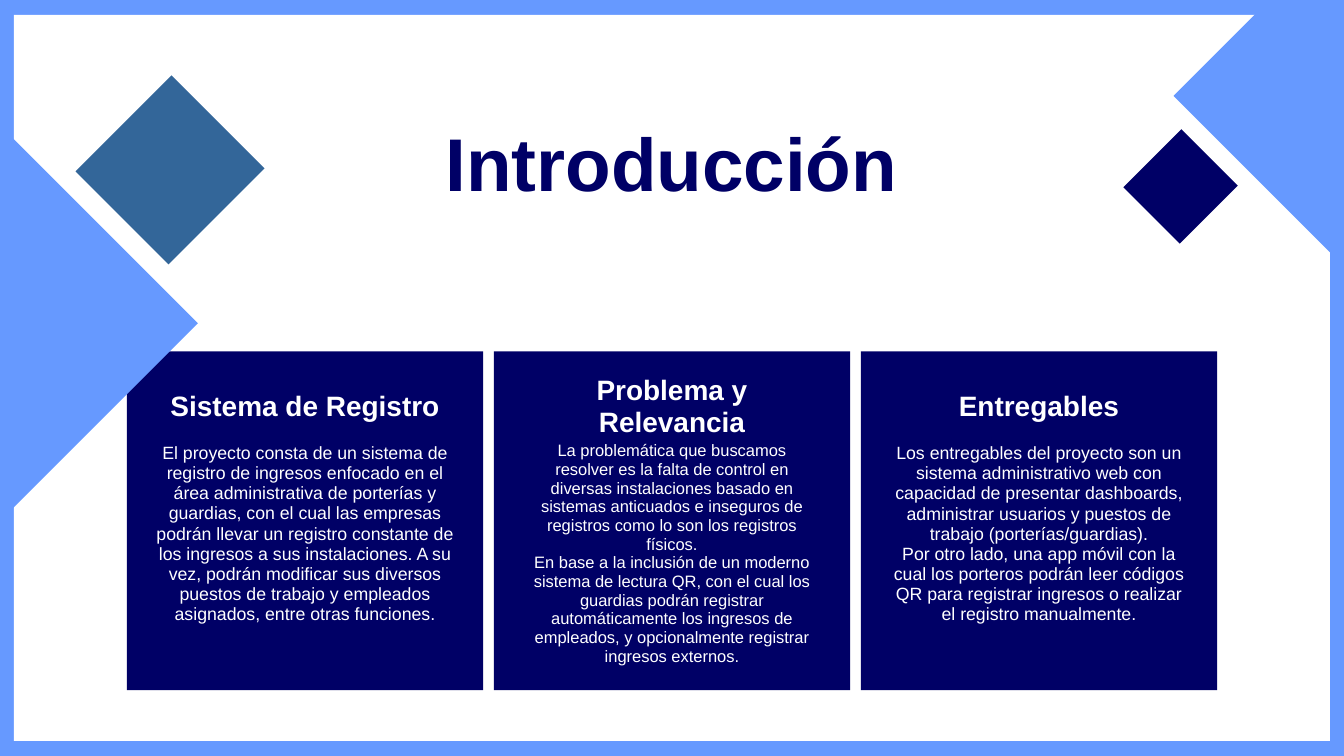
from pptx import Presentation
from pptx.dml.color import RGBColor
from pptx.enum.shapes import MSO_SHAPE
from pptx.enum.text import MSO_ANCHOR, MSO_AUTO_SIZE, PP_ALIGN
from pptx.util import Pt

RECTANGLE = MSO_SHAPE.RECTANGLE
TOP, MIDDLE = MSO_ANCHOR.TOP, MSO_ANCHOR.MIDDLE
NO_AUTOFIT = MSO_AUTO_SIZE.NONE
CENTER = PP_ALIGN.CENTER
TITLE_ONLY = 5

FONT = "Arial"
COLORS = {"sky": "6699FF", "white": "FFFFFF", "navy": "000066", "steel": "336699"}

CARD_LEFT, CARD_TOP, CARD_WIDTH, CARD_HEIGHT = 136, 376.5, 381.6, 363
CARD_PITCH = 393.2
HEADING_TOP, HEADING_HEIGHT, HEADING_WIDTH = 401, 68, 321

# heading, paragraphs, body top, body width, body height, font size, line spacing
CARDS = [
    ("Sistema de Registro",
     ["El proyecto consta de un sistema de registro de ingresos enfocado en el área "
      "administrativa de porterías y guardias, con el cual las empresas podrán llevar un "
      "registro constante de los ingresos a sus instalaciones. A su vez, podrán modificar "
      "sus diversos puestos de trabajo y empleados asignados, entre otras funciones."],
     475, 321, 252, 19, 21.5),
    ("Problema y Relevancia",
     ["La problemática que buscamos resolver es la falta de control en diversas "
      "instalaciones basado en sistemas anticuados e inseguros de registros como lo son "
      "los registros físicos.",
      "En base a la inclusión de un moderno sistema de lectura QR, con el cual los guardias "
      "podrán registrar automáticamente los ingresos de empleados, y opcionalmente "
      "registrar ingresos externos."],
     473, 299, 256, 17.7, 20),
    ("Entregables",
     ["Los entregables del proyecto son un sistema administrativo web con capacidad de "
      "presentar dashboards, administrar usuarios y puestos de trabajo (porterías/guardias).",
      "Por otro lado, una app móvil con la cual los porteros podrán leer códigos QR para "
      "registrar ingresos o realizar el registro manualmente."],
     475, 321, 231, 19, 21.5),
]

# left, top, width, height before the turn, and colour
DIAMONDS = [
    (-243.5, 180, 386.5, 355, "sky"),
    (1305.5, -29, 270, 248, "sky"),
    (109.5, 111.5, 145.5, 141, "steel"),
    (1221, 157, 88, 85.5, "navy"),
]


class SlideBuilder:
    def __init__(self, slide):
        self.slide = slide

    def color(self, name):
        return RGBColor.from_string(COLORS[name])

    def background(self, color):
        fill = self.slide.background.fill
        fill.solid()
        fill.fore_color.rgb = self.color(color)

    def block(self, left, top, width, height, color, rotation=0):
        """Add a plain filled rectangle, turned by rotation degrees."""
        shape = self.slide.shapes.add_shape(
            RECTANGLE, Pt(left), Pt(top), Pt(width), Pt(height))
        shape.shadow.inherit = False
        shape.fill.solid()
        shape.fill.fore_color.rgb = self.color(color)
        shape.line.fill.background()
        shape.rotation = rotation

    def fill_text(self, frame, paragraphs, size, spacing, color, bold, anchor):
        frame.word_wrap = True
        frame.auto_size = NO_AUTOFIT
        frame.vertical_anchor = anchor
        frame.margin_left = frame.margin_right = 0
        frame.margin_top = frame.margin_bottom = 0
        frame.text = "\n".join(paragraphs)
        for paragraph in frame.paragraphs:
            paragraph.alignment = CENTER
            paragraph.line_spacing = Pt(spacing)
            paragraph.space_before = Pt(0)
            paragraph.font.name = FONT
            paragraph.font.size = Pt(size)
            paragraph.font.bold = bold
            paragraph.font.color.rgb = self.color(color)

    def title(self, text, left, top, width, height):
        title = self.slide.shapes.title
        title.left, title.top = Pt(left), Pt(top)
        title.width, title.height = Pt(width), Pt(height)
        self.fill_text(title.text_frame, [text], 80, 75.2, "navy", True, TOP)
        # Bring the placeholder in front of the panel.
        self.slide.shapes.element.append(title.element)

    def text(self, left, top, width, height, paragraphs, size, spacing,
             bold=False, anchor=TOP):
        box = self.slide.shapes.add_textbox(Pt(left), Pt(top), Pt(width), Pt(height))
        self.fill_text(box.text_frame, paragraphs, size, spacing, "white", bold, anchor)

    def card(self, left, heading, paragraphs, body_top, body_width, body_height,
             size, spacing):
        self.block(left, CARD_TOP, CARD_WIDTH, CARD_HEIGHT, "navy")
        self.text(left + (CARD_WIDTH - HEADING_WIDTH) / 2, HEADING_TOP, HEADING_WIDTH,
                  HEADING_HEIGHT, [heading], 30, 33.9, True, MIDDLE)
        self.text(left + (CARD_WIDTH - body_width) / 2, body_top, body_width,
                  body_height, paragraphs, size, spacing)


def main():
    presentation = Presentation()
    presentation.slide_width, presentation.slide_height = Pt(1440), Pt(810)
    layout = presentation.slide_layouts[TITLE_ONLY]
    builder = SlideBuilder(presentation.slides.add_slide(layout))

    builder.background("sky")
    builder.block(15, 16, 1410, 778, "white")
    builder.title("Introducción", 80.5, 145.5, 1278, 80.5)
    for column, card in enumerate(CARDS):
        builder.card(CARD_LEFT + column * CARD_PITCH, *card)
    for diamond in DIAMONDS:
        builder.block(*diamond, rotation=315)

    presentation.save("out.pptx")


if __name__ == "__main__":
    main()
